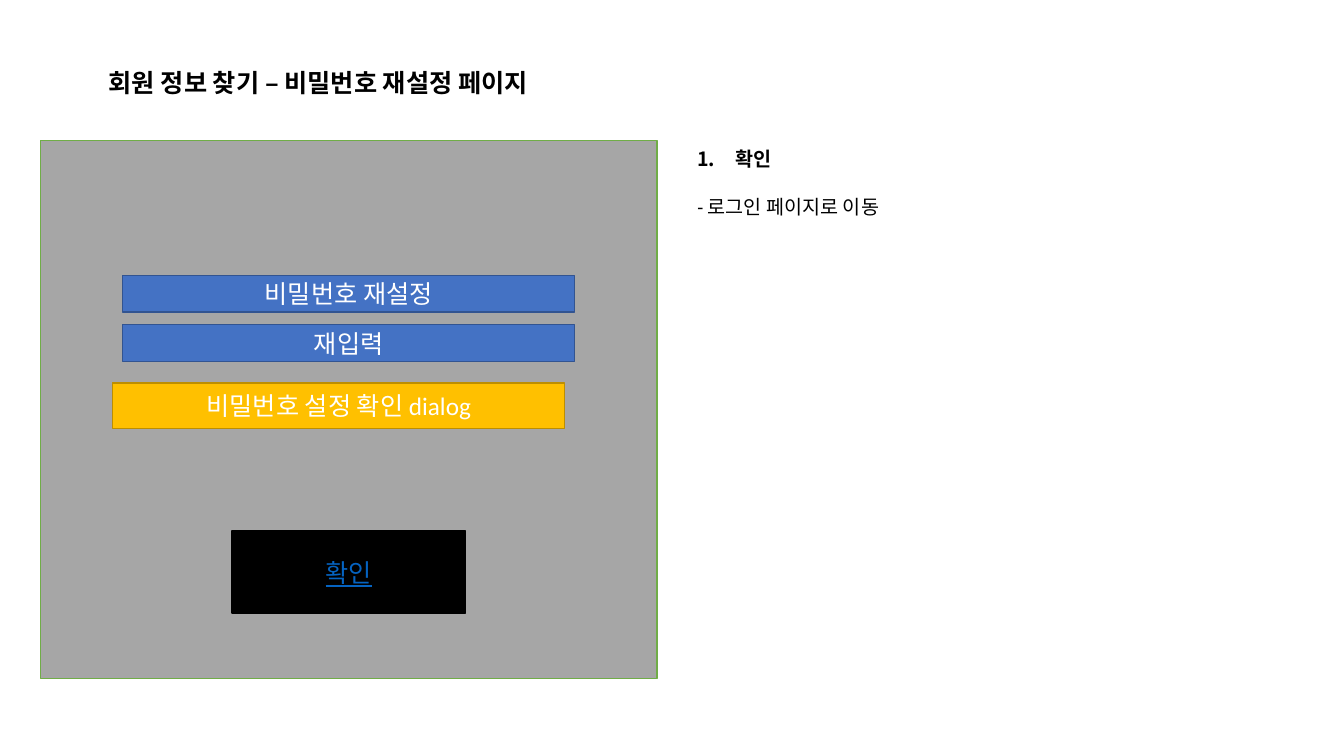
"""Build the password reset page slide of a member information storyboard."""
from lxml.etree import SubElement
from pptx import Presentation
from pptx.dml.color import RGBColor
from pptx.enum.shapes import MSO_SHAPE
from pptx.enum.text import MSO_ANCHOR, PP_ALIGN
from pptx.oxml.ns import qn
from pptx.util import Pt

BLACK = RGBColor(0x00, 0x00, 0x00)
WHITE = RGBColor(0xFF, 0xFF, 0xFF)
GRAY = RGBColor(0xA6, 0xA6, 0xA6)
GREEN = RGBColor(0x70, 0xAD, 0x47)
BLUE = RGBColor(0x44, 0x72, 0xC4)
DARK_BLUE = RGBColor(0x32, 0x54, 0x91)
GOLD = RGBColor(0xFF, 0xC0, 0x00)
DARK_GOLD = RGBColor(0xBD, 0x8E, 0x00)
LINK_BLUE = RGBColor(0x05, 0x63, 0xC1)

TITLE = "회원 정보 찾기 – 비밀번호 재설정 페이지"
FIELDS = ["비밀번호 재설정", "재입력"]
DIALOG = "비밀번호 설정 확인 dialog"
CONFIRM = "확인"
NOTE_HEADING = "확인"
NOTE = "- 로그인 페이지로 이동"

PANEL = (28.8, 100.2, 440.6, 384.5)
FIELD_WIDTH, FIELD_HEIGHT, FIELD_PITCH = 322.8, 26.2, 35.2
FIELD_LEFT = PANEL[0] + (PANEL[2] - FIELD_WIDTH) / 2
FIELD_TOP = 196.7
NUMBER_INDENT = 27


def style(paragraph, size, color, bold=False):
    paragraph.font.name = "Calibri"
    paragraph.font.size = Pt(size)
    paragraph.font.bold = bold
    paragraph.font.color.rgb = color


def add_box(slide, bounds, fill, line, text="", color=WHITE, underline=False):
    shape = slide.shapes.add_shape(MSO_SHAPE.RECTANGLE, *map(Pt, bounds))
    shape.shadow.inherit = False
    shape.fill.solid()
    shape.fill.fore_color.rgb = fill
    shape.line.color.rgb = line
    shape.line.width = Pt(1)
    if text:
        shape.text_frame.vertical_anchor = MSO_ANCHOR.MIDDLE
        paragraph = shape.text_frame.paragraphs[0]
        paragraph.text = text
        paragraph.alignment = PP_ALIGN.CENTER
        style(paragraph, 18, color)
        paragraph.font.underline = underline


def add_text(slide, bounds, text):
    frame = slide.shapes.add_textbox(*map(Pt, bounds)).text_frame
    frame.word_wrap = True
    frame.paragraphs[0].text = text
    return frame


def number(paragraph):
    properties = paragraph._p.get_or_add_pPr()
    properties.set("marL", str(Pt(NUMBER_INDENT)))
    properties.set("indent", str(-Pt(NUMBER_INDENT)))
    SubElement(properties, qn("a:buAutoNum"), type="arabicPeriod")


def main():
    presentation = Presentation()
    presentation.slide_width, presentation.slide_height = Pt(960), Pt(540)
    slide = presentation.slides.add_slide(presentation.slide_layouts[6])

    title = add_text(slide, (70.6, 44.6, 389.5, 29), TITLE)
    style(title.paragraphs[0], 18, BLACK, bold=True)

    add_box(slide, PANEL, GRAY, GREEN)
    for index, label in enumerate(FIELDS):
        top = FIELD_TOP + index * FIELD_PITCH
        add_box(slide, (FIELD_LEFT, top, FIELD_WIDTH, FIELD_HEIGHT), BLUE, DARK_BLUE, label)
    add_box(slide, (80.6, 273.5, FIELD_WIDTH, 32.4), GOLD, DARK_GOLD, DIALOG)
    add_box(slide, (165.6, 379.4, 167, 58.5), BLACK, BLACK, CONFIRM, LINK_BLUE, underline=True)

    notes = add_text(slide, (491, 101.5, 415.4, 58.3), NOTE_HEADING)
    heading = notes.paragraphs[0]
    number(heading)
    style(heading, 14, BLACK, bold=True)
    detail = notes.add_paragraph()
    detail.text = NOTE
    detail.space_before = Pt(17)
    style(detail, 14, BLACK)

    presentation.save("out.pptx")


if __name__ == "__main__":
    main()
